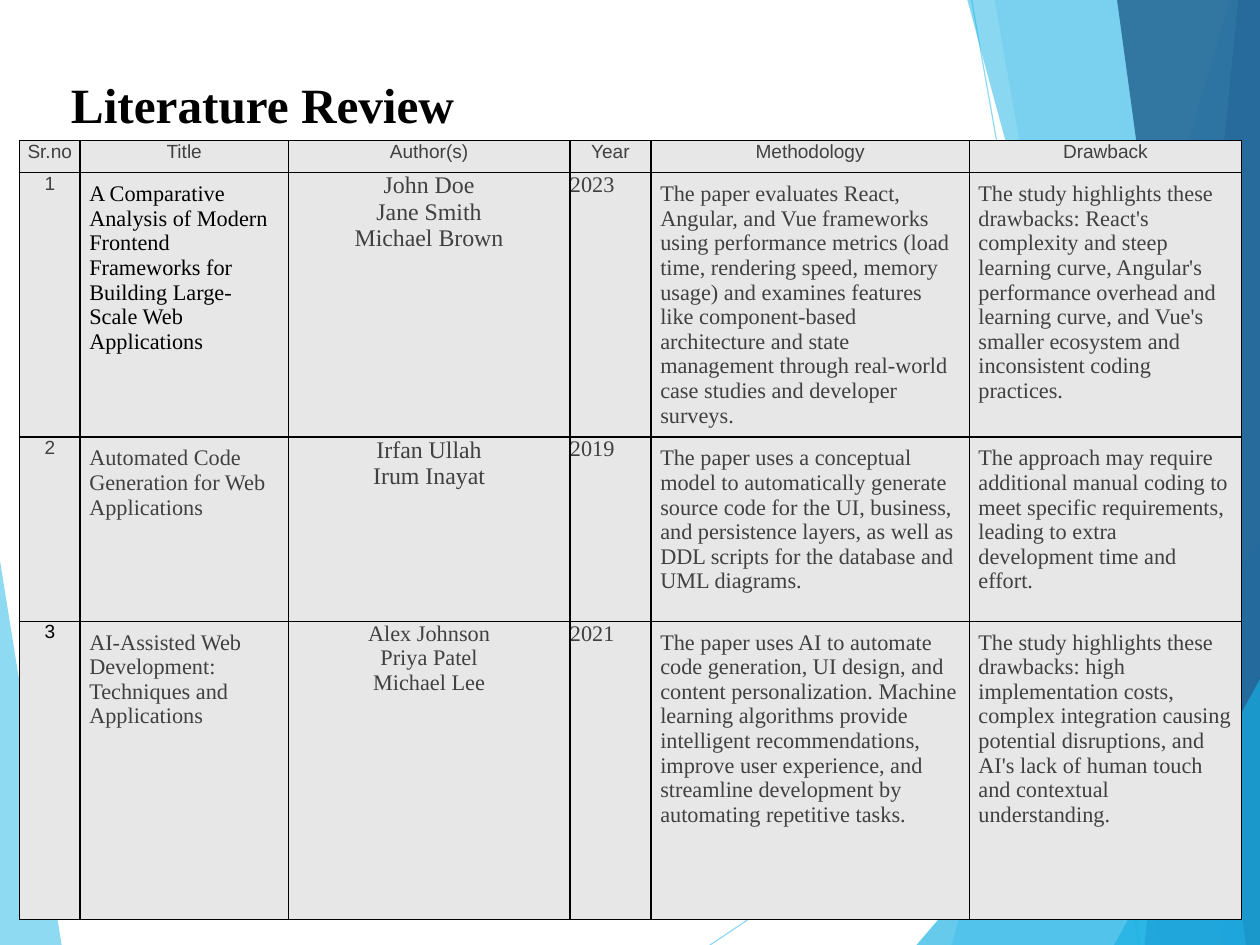
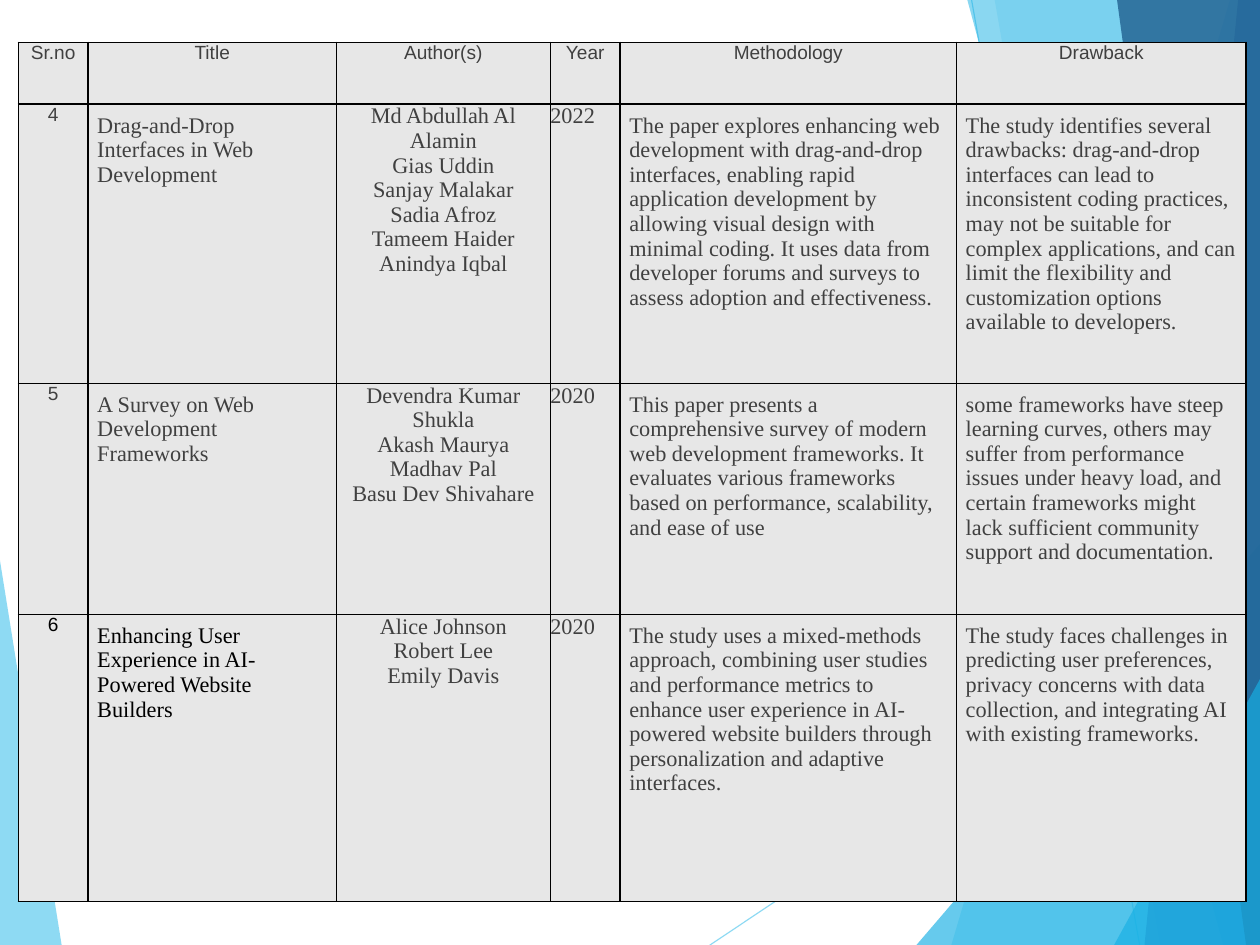
from dataclasses import dataclass

from lxml.etree import SubElement
from pptx import Presentation
from pptx.dml.color import RGBColor
from pptx.enum.text import MSO_ANCHOR, MSO_AUTO_SIZE, PP_ALIGN
from pptx.oxml.ns import qn
from pptx.util import Inches, Pt

BLACK = RGBColor(0x00, 0x00, 0x00)
GRAY = RGBColor(0x40, 0x40, 0x40)
CELL_GRAY = RGBColor(0xE7, 0xE7, 0xE7)
SKY = RGBColor(0x5F, 0xCB, 0xEF)
CYAN = RGBColor(0x17, 0xB0, 0xE4)
BLUE = RGBColor(0x2E, 0x83, 0xC3)
NAVY = RGBColor(0x23, 0x62, 0x92)

SANS = "Arial"
SERIF = "Times New Roman"

WIDTH, HEIGHT = 11.01, 8.26
LEFT, TOP, RIGHT, BOTTOM = -0.01, -0.01, 11.03, 8.27

CORNER = ([(LEFT, 4.84), (0.54, BOTTOM), (LEFT, BOTTOM)], SKY, 70)
RAYS = [((6.19, BOTTOM), (RIGHT, 5.03)), ((8.49, 0), (9.96, BOTTOM))]


def edge_band(top_x, bottom_x):
    """Outline from a slanted side to the right edge of the slide."""
    return [(top_x, TOP), (bottom_x, BOTTOM), (RIGHT, BOTTOM), (RIGHT, TOP)]


def edge_wedge(bottom_x, right_y):
    return [(bottom_x, BOTTOM), (RIGHT, right_y), (RIGHT, BOTTOM)]


BANDS = [
    (edge_band(10.75, 8.31), SKY, 36),
    (edge_band(8.69, 10.14), SKY, 20),
    (edge_wedge(8, 4.73), CYAN, 66),
    (edge_band(8.45, 10.69), CYAN, 50),
    (edge_band(10.82, 10), BLUE, 70),
    (edge_band(9.76, 10.89), NAVY, 82),
    (edge_wedge(9.73, 5.9), CYAN, 66),
]

HEADERS = ["Sr.no", "Title", "Author(s)", "Year", "Methodology", "Drawback"]


@dataclass
class Paper:
    number: str
    title: str
    authors: list
    year: str
    methodology: str
    drawback: str
    number_color: RGBColor = GRAY
    title_color: RGBColor = GRAY
    author_size: int = 14


FIRST_PAPERS = [
    Paper(
        "1",
        "A Comparative Analysis of Modern Frontend Frameworks for Building "
        "Large-Scale Web Applications",
        ["John Doe", "Jane Smith", "Michael Brown"],
        "2023",
        "The paper evaluates React, Angular, and Vue frameworks using performance "
        "metrics (load time, rendering speed, memory usage) and examines features "
        "like component-based architecture and state management through real-world "
        "case studies and developer surveys.",
        "The study highlights these drawbacks: React's complexity and steep learning "
        "curve, Angular's performance overhead and learning curve, and Vue's smaller "
        "ecosystem and inconsistent coding practices.",
        title_color=BLACK,
        author_size=15,
    ),
    Paper(
        "2",
        "Automated Code Generation for Web Applications",
        ["Irfan Ullah", "Irum Inayat"],
        "2019",
        "The paper uses a conceptual model to automatically generate source code for "
        "the UI, business, and persistence layers, as well as DDL scripts for the "
        "database and UML diagrams.",
        "The approach may require additional manual coding to meet specific "
        "requirements, leading to extra development time and effort.",
        author_size=15,
    ),
    Paper(
        "3",
        "AI-Assisted Web Development: Techniques and Applications",
        ["Alex Johnson", "Priya Patel", "Michael Lee"],
        "2021",
        "The paper uses AI to automate code generation, UI design, and content "
        "personalization. Machine learning algorithms provide intelligent "
        "recommendations, improve user experience, and streamline development by "
        "automating repetitive tasks.",
        "The study highlights these drawbacks: high implementation costs, complex "
        "integration causing potential disruptions, and AI's lack of human touch and "
        "contextual understanding.",
        number_color=BLACK,
    ),
]

SECOND_PAPERS = [
    Paper(
        "4",
        "Drag-and-Drop Interfaces in Web Development",
        ["Md Abdullah Al Alamin", "Gias Uddin", "Sanjay Malakar", "Sadia Afroz",
         "Tameem Haider", "Anindya Iqbal"],
        "2022",
        "The paper explores enhancing web development with drag-and-drop interfaces, "
        "enabling rapid application development by allowing visual design with "
        "minimal coding. It uses data from developer forums and surveys to assess "
        "adoption and effectiveness.",
        "The study identifies several drawbacks: drag-and-drop interfaces can lead to "
        "inconsistent coding practices, may not be suitable for complex applications, "
        "and can limit the flexibility and customization options available to "
        "developers.",
    ),
    Paper(
        "5",
        "A Survey on Web Development Frameworks",
        ["Devendra Kumar Shukla", "Akash Maurya", "Madhav Pal", "Basu Dev Shivahare"],
        "2020",
        "This paper presents a comprehensive survey of modern web development "
        "frameworks. It evaluates various frameworks based on performance, "
        "scalability, and ease of use",
        "some frameworks have steep learning curves, others may suffer from "
        "performance issues under heavy load, and certain frameworks might lack "
        "sufficient community support and documentation.",
    ),
    Paper(
        "6",
        "Enhancing User Experience in AI-Powered Website Builders",
        ["Alice Johnson", "Robert Lee", "Emily Davis"],
        "2020",
        "The study uses a mixed-methods approach, combining user studies and "
        "performance metrics to enhance user experience in AI-powered website "
        "builders through personalization and adaptive interfaces.",
        "The study faces challenges in predicting user preferences, privacy concerns "
        "with data collection, and integrating AI with existing frameworks.",
        number_color=BLACK,
        title_color=BLACK,
    ),
]


def set_opacity(shape, percent):
    color = shape.element.spPr.find(".//" + qn("a:srgbClr"))
    SubElement(color, qn("a:alpha")).set("val", str(percent * 1000))


def add_band(slide, points, color, opacity):
    corners = [(Inches(x), Inches(y)) for x, y in points]
    builder = slide.shapes.build_freeform(*corners[0])
    builder.add_line_segments(corners[1:], close=True)
    band = builder.convert_to_shape()
    band.shadow.inherit = False
    band.fill.solid()
    band.fill.fore_color.rgb = color
    band.line.fill.background()
    set_opacity(band, opacity)
    return band


def add_ray(slide, start, end):
    ends = [Inches(value) for value in (*start, *end)]
    ray = slide.shapes.add_connector(1, *ends)
    ray.line.color.rgb = SKY
    ray.line.width = Pt(0.75)
    set_opacity(ray, 70)
    SubElement(ray.element.spPr, qn("a:effectLst"))
    return ray


def decorate_master(deck, slide):
    """Draw the bands on a slide, then move them to the master all slides share."""
    decoration = [add_band(slide, *CORNER)]
    decoration += [add_ray(slide, *ray) for ray in RAYS]
    decoration += [add_band(slide, *band) for band in BANDS]
    for shape_id, shape in enumerate(decoration, start=100):
        shape.element.find(".//" + qn("p:cNvPr")).set("id", str(shape_id))
        deck.slide_master.shapes.element.append(shape.element)


def format_title(title, text):
    title.left, title.top = Inches(0.57), Inches(0.59)
    title.width, title.height = Inches(9.91), Inches(0.64)
    frame = title.text_frame
    frame.text = text
    frame.auto_size = MSO_AUTO_SIZE.NONE
    frame.vertical_anchor = MSO_ANCHOR.MIDDLE
    frame.margin_left = frame.margin_right = Inches(0.05)
    frame.margin_top = frame.margin_bottom = Inches(0.05)
    para = frame.paragraphs[0]
    para.alignment = PP_ALIGN.LEFT
    set_font(para.runs[0].font, SERIF, 31, BLACK)
    para.runs[0].font.bold = True


def set_font(font, name, size, color):
    font.name = name
    font.size = Pt(size)
    font.color.rgb = color


def add_borders(cell):
    properties = cell._tc.get_or_add_tcPr()
    for side in ("a:lnL", "a:lnR", "a:lnT", "a:lnB"):
        line = SubElement(properties, qn(side), w=str(Pt(1)))
        fill = SubElement(line, qn("a:solidFill"))
        SubElement(fill, qn("a:srgbClr"), val=str(BLACK))


def fill_cell(cell, *lines, font=SERIF, size=14, color=GRAY, centered=False, margin=0.0):
    add_borders(cell)
    cell.fill.solid()
    cell.fill.fore_color.rgb = CELL_GRAY
    cell.margin_left = cell.margin_right = Inches(margin)
    cell.margin_top = cell.margin_bottom = Inches(margin)
    cell.text = "\n".join(lines)
    for para in cell.text_frame.paragraphs:
        para.alignment = PP_ALIGN.CENTER if centered else PP_ALIGN.LEFT
        set_font(para.runs[0].font, font, size, color)


def fill_paper_row(cells, paper):
    number, title, authors, year, methodology, drawback = cells
    fill_cell(number, paper.number, font=SANS, size=12, color=paper.number_color,
              centered=True)
    fill_cell(title, paper.title, color=paper.title_color, margin=0.08)
    fill_cell(authors, *paper.authors, size=paper.author_size, centered=True)
    fill_cell(year, paper.year)
    fill_cell(methodology, paper.methodology, margin=0.08)
    fill_cell(drawback, paper.drawback, margin=0.08)


def add_review_table(slide, papers, left, top, widths, heights):
    table = slide.shapes.add_table(
        len(heights), len(widths), Inches(left), Inches(top),
        Inches(sum(widths)), Inches(sum(heights))).table
    table.first_row = table.horz_banding = False
    for column, width in zip(table.columns, widths):
        column.width = Inches(width)
    for row, height in zip(table.rows, heights):
        row.height = Inches(height)
    header_row, *paper_rows = table.rows
    for cell, header in zip(header_row.cells, HEADERS):
        fill_cell(cell, header, font=SANS, size=12, centered=True)
    for row, paper in zip(paper_rows, papers):
        fill_paper_row(row.cells, paper)


def main():
    deck = Presentation()
    deck.slide_width, deck.slide_height = Inches(WIDTH), Inches(HEIGHT)
    title_only, blank = deck.slide_layouts[5], deck.slide_layouts[6]

    review = deck.slides.add_slide(title_only)
    decorate_master(deck, review)
    format_title(review.shapes.title, "Literature Review")
    add_review_table(review, FIRST_PAPERS, 0.17, 1.23,
                     widths=[0.53, 1.82, 2.46, 0.71, 2.78, 2.38],
                     heights=[0.28, 2.31, 1.61, 2.61])

    continued = deck.slides.add_slide(blank)
    add_review_table(continued, SECOND_PAPERS, 0.16, 0.37,
                     widths=[0.61, 2.17, 1.87, 0.61, 2.94, 2.53],
                     heights=[0.54, 2.44, 2.02, 2.51])
    deck.save("out.pptx")


if __name__ == "__main__":
    main()
